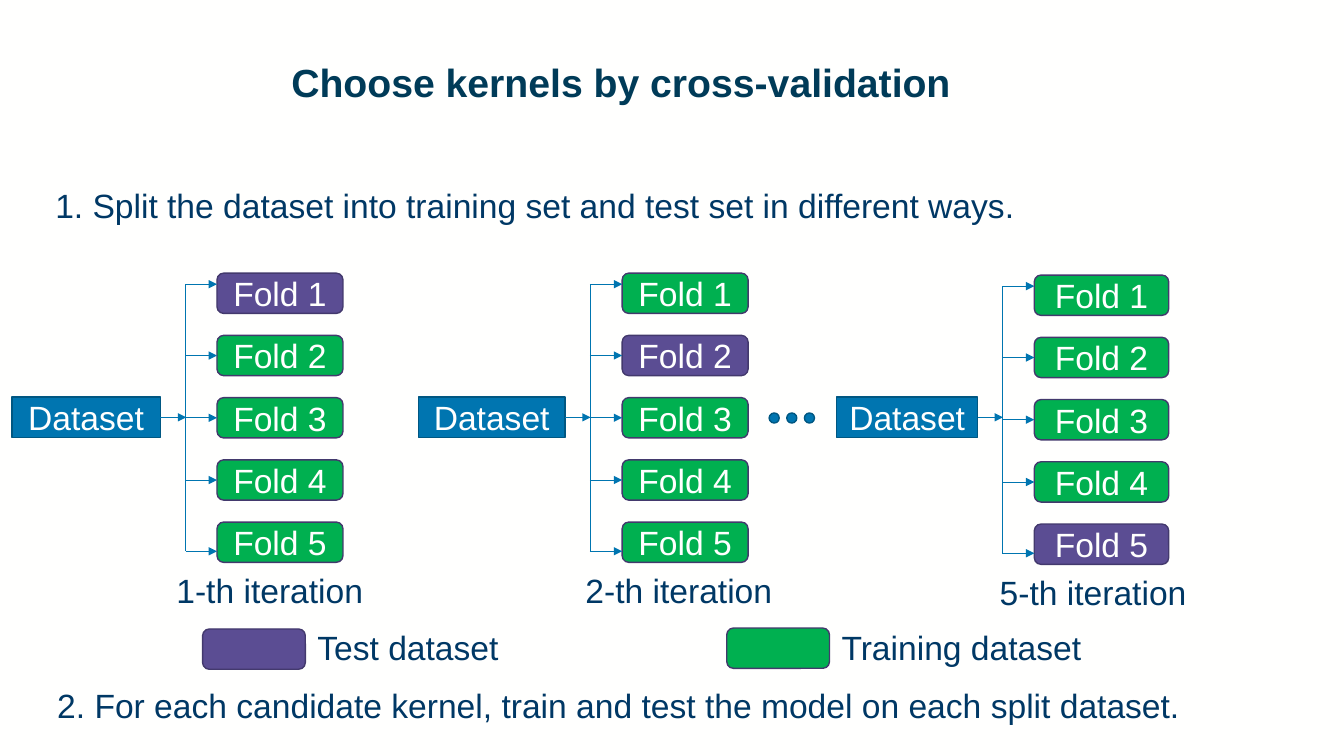
"""Build the slide on choosing kernels by cross-validation."""
from lxml import etree
from pptx import Presentation, util as u
from pptx.dml.color import RGBColor
from pptx.enum import shapes, text
from pptx.oxml.ns import qn

PAPER = RGBColor(0xFF, 0xFF, 0xFE)
HEADING = RGBColor(0x00, 0x3B, 0x58)
NAVY = RGBColor(0x00, 0x38, 0x65)
BLUE = RGBColor(0x00, 0x75, 0xB0)
DARK_BLUE = RGBColor(0x00, 0x57, 0x82)
TEST = RGBColor(0x5B, 0x4D, 0x93)
TRAINING = RGBColor(0x00, 0xB0, 0x50)
FOLD_EDGE = RGBColor(0x43, 0x39, 0x6D)

BOX_HEIGHT = 28.8
FOLD_PITCH = 44.46
FOLD_COUNT = 5
DATASET_TOP = 283.7


class Board:
    """Hold the text style and the slide being drawn."""

    font = "Arial"
    size = 24

    def __init__(self, slide):
        self.slide = slide
        slide.background.fill.solid()
        slide.background.fill.fore_color.rgb = PAPER

    def letter(self, frame, words, color, size=None, bold=False, align=text.PP_ALIGN.LEFT):
        frame.text = words
        frame.word_wrap = True
        paragraph = frame.paragraphs[0]
        paragraph.alignment = align
        for run in paragraph.runs:
            run.font.name = self.font
            run.font.size = u.Pt(size or self.size)
            run.font.bold = bold
            run.font.color.rgb = color

    def title(self, words, left, top, width, height):
        heading = self.slide.shapes.title
        heading.left, heading.top = u.Pt(left), u.Pt(top)
        heading.width, heading.height = u.Pt(width), u.Pt(height)
        self.letter(heading.text_frame, words, HEADING, size=28, bold=True)
        heading.text_frame.auto_size = text.MSO_AUTO_SIZE.NONE
        heading.text_frame.vertical_anchor = text.MSO_ANCHOR.TOP
        heading.text_frame.paragraphs[0].line_spacing = 0.9

    def caption(self, words, left, top, width):
        frame = self.slide.shapes.add_textbox(
            u.Pt(left), u.Pt(top), u.Pt(width), u.Pt(36)).text_frame
        self.letter(frame, words, NAVY)
        frame.auto_size = text.MSO_AUTO_SIZE.SHAPE_TO_FIT_TEXT

    def box(self, kind, left, top, width, height, fill, edge, words=""):
        shape = self.slide.shapes.add_shape(
            kind, u.Pt(left), u.Pt(top), u.Pt(width), u.Pt(height))
        shape.shadow.inherit = False
        shape.fill.solid()
        shape.fill.fore_color.rgb = fill
        shape.line.color.rgb = edge
        shape.line.width = u.Pt(1)
        if words:
            self.letter(shape.text_frame, words, PAPER, align=text.PP_ALIGN.CENTER)
            shape.text_frame.vertical_anchor = text.MSO_ANCHOR.MIDDLE
        return shape

    def fold(self, left, top, width, fill, words=""):
        return self.box(shapes.MSO_SHAPE.ROUNDED_RECTANGLE, left, top, width,
                        BOX_HEIGHT, fill, FOLD_EDGE, words)

    def line(self, x1, y1, x2, y2, arrow=True):
        link = self.slide.shapes.add_connector(
            shapes.MSO_CONNECTOR.STRAIGHT, u.Pt(x1), u.Pt(y1), u.Pt(x2), u.Pt(y2))
        link.line.color.rgb = BLUE
        link.line.width = u.Pt(0.5)
        properties = link._element.spPr
        if arrow:
            etree.SubElement(properties.find(qn("a:ln")), qn("a:tailEnd"), type="triangle")
        etree.SubElement(properties, qn("a:effectLst"))
        return link

    def iteration(self, number, dataset_left, dataset_width, trunk, fold_left,
                  fold_width, top, label_left, label_width):
        dataset = self.box(shapes.MSO_SHAPE.RECTANGLE, dataset_left, DATASET_TOP,
                           dataset_width, BOX_HEIGHT, BLUE, DARK_BLUE, "Dataset")
        middle = DATASET_TOP + BOX_HEIGHT / 2
        stem = self.line(dataset_left + dataset_width, middle, trunk + 0.5, middle)
        stem.begin_connect(dataset, 3)

        branch_top, branch_bottom = top + 7.9, top + 198.7
        self.line(trunk, branch_top, trunk, branch_bottom, arrow=False)
        for index in range(FOLD_COUNT):
            fold_top = top + index * FOLD_PITCH
            fill = TEST if index + 1 == number else TRAINING
            fold = self.fold(fold_left, fold_top, fold_width, fill, f"Fold {index + 1}")
            outer = {0: branch_top, FOLD_COUNT - 1: branch_bottom}
            height = outer.get(index, fold_top + BOX_HEIGHT / 2)
            branch = self.line(trunk, height, fold_left, height)
            if index not in outer:
                branch.end_connect(fold, 1)
        self.caption(f"{number}-th iteration", label_left, top + 208.6, label_width)


def main():
    deck = Presentation()
    deck.slide_width, deck.slide_height = u.Pt(960), u.Pt(540)
    board = Board(deck.slides.add_slide(deck.slide_layouts[5]))

    board.title("Choose kernels by cross-validation", 200.9, 41.8, 725, 69.8)
    board.caption("1. Split the dataset into training set and test set in different ways.",
                  32.4, 128.9, 723.6)

    board.iteration(1, 8.6, 105.9, 132.6, 155, 90, 195.1, 118.9, 151.2)
    board.iteration(2, 298.8, 104.8, 421.4, 444.4, 90, 195.1, 411.1, 152)
    for dot in range(3):
        board.box(shapes.MSO_SHAPE.OVAL, 549.4 + dot * 12.6, 295, 7.2, 7.2, BLUE, DARK_BLUE)
    board.iteration(5, 597.6, 100.8, 715.9, 738.8, 96, 196.5, 707, 181.4)

    for name, fill, left, top, width in (("Test dataset", TEST, 144.7, 449.3, 174.2),
                                         ("Training dataset", TRAINING, 519.1, 448.6, 193)):
        board.fold(left, top, 73.4, fill)
        board.caption(name, left + 74.9, 444.2, width)
    board.caption("2. For each candidate kernel, train and test the model on each split dataset.",
                  33.8, 486, 865.4)

    deck.save("out.pptx")


if __name__ == "__main__":
    main()
